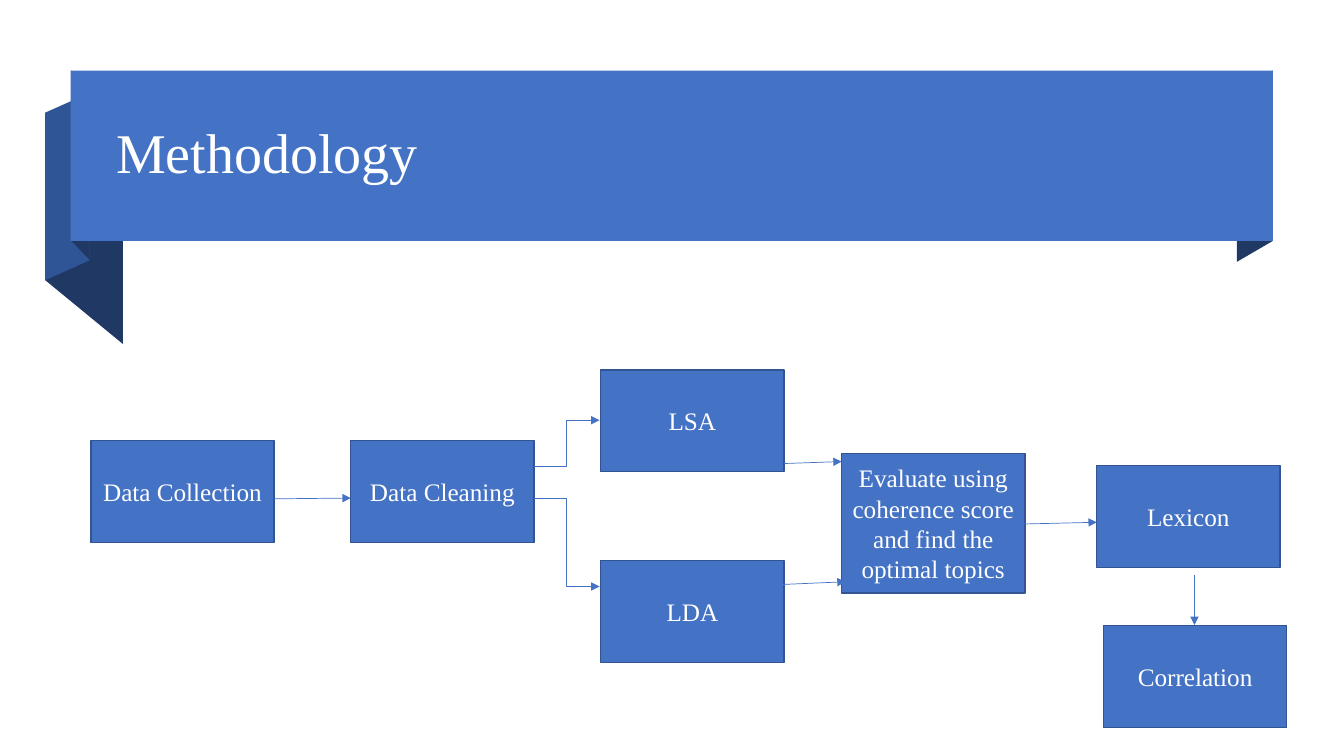
from pptx import Presentation
from pptx.dml.color import RGBColor
from pptx.enum.shapes import MSO_CONNECTOR, MSO_SHAPE
from pptx.enum.text import MSO_ANCHOR, MSO_AUTO_SIZE, PP_ALIGN
from pptx.util import Cm, Pt
from lxml.etree import SubElement
from pptx.oxml.ns import qn

FONT = "Times New Roman"
BLUE, MID, NAVY, EDGE, WHITE = "4472C4", "2F5597", "203864", "325491", "FFFFFF"
BOX_W, BOX_H = 4.62, 2.57

STEPS = [
    ("Data Collection", 0, 1.78, BOX_H),
    ("Evaluate using coherence score and find the optimal topics", 18.92, 2.11, 3.51),
    ("LDA", 12.85, 4.8, BOX_H),
    ("LSA", 12.85, 0, BOX_H),
    ("Data Cleaning", 6.55, 1.78, BOX_H),
    ("Lexicon", 25.35, 2.41, BOX_H),
    ("Correlation", 25.52, 6.45, BOX_H),
]
STRAIGHT, ELBOW = MSO_CONNECTOR.STRAIGHT, MSO_CONNECTOR.ELBOW
ARROWS = [
    (STRAIGHT, 4.62, 3.25, 6.55, 3.23),
    (STRAIGHT, 17.47, 2.36, 18.92, 2.31),
    (STRAIGHT, 17.37, 5.41, 19.02, 5.34),
    (STRAIGHT, 23.24, 3.89, 25.35, 3.84),
    (ELBOW, 11.17, 3.25, 12.82, 5.46),
    (ELBOW, 11.17, 2.44, 12.82, 1.27),
    (STRAIGHT, 27.81, 5.16, 27.81, 6.43),
]


def rgb(value):
    return RGBColor.from_string(value)


def paint(sp, fill, line=None):
    sp.shadow.inherit = False
    sp.fill.solid()
    sp.fill.fore_color.rgb = rgb(fill)
    if line:
        sp.line.color.rgb = rgb(line)
        sp.line.width = Pt(1)
    else:
        sp.line.fill.background()


def write(tf, text, size, align):
    tf.text = text
    tf.word_wrap = True
    tf.auto_size = MSO_AUTO_SIZE.NONE
    tf.vertical_anchor = MSO_ANCHOR.MIDDLE
    p = tf.paragraphs[0]
    p.alignment = align
    font = p.runs[0].font
    font.name, font.size = FONT, Pt(size)
    font.color.rgb = rgb(WHITE)
    return p


def add_fold(s, x1, y1, x2, y2, height, color):
    fb = s.shapes.build_freeform(Cm(x1), Cm(y1))
    fb.add_line_segments([(Cm(x2), Cm(y2)), (Cm(x2), Cm(y2 + height)),
                          (Cm(x1), Cm(y1 + height))])
    paint(fb.convert_to_shape(), color)


def add_banner(s, text, x, y, w, h):
    folds = [
        (-0.64, 1.06, 1.32, 2.67, 4.22, NAVY),
        (-0.64, 1.06, 0.48, 0.56, 4.22, MID),
        (0.02, 0, 0.48, 0.48, h, NAVY),
        (w - 0.91, 0.53, w, 0, h, NAVY),
    ]
    for x1, y1, x2, y2, height, color in folds:
        add_fold(s, x + x1, y + y1, x + x2, y + y2, height, color)
    paint(s.shapes.add_shape(MSO_SHAPE.RECTANGLE, Cm(x), Cm(y), Cm(w), Cm(h)), BLUE)

    title = s.shapes.title
    title.element.getparent().append(title.element)
    title.left, title.top = Cm(x + 0.89), Cm(y + 0.46)
    title.width, title.height = Cm(w - 1.78), Cm(h - 0.92)
    write(title.text_frame, text, 40, PP_ALIGN.LEFT).line_spacing = 0.9


def add_arrow(s, kind, x1, y1, x2, y2):
    cn = s.shapes.add_connector(kind, Cm(x1), Cm(y1), Cm(x2), Cm(y2))
    cn.line.color.rgb = rgb(BLUE)
    cn.line.width = Pt(0.5)
    spPr = cn.element.spPr
    SubElement(spPr.find(qn("a:ln")), qn("a:tailEnd"), type="triangle")
    SubElement(spPr, qn("a:effectLst"))


def add_flow(s, x, y):
    for text, dx, dy, height in STEPS:
        sp = s.shapes.add_shape(MSO_SHAPE.RECTANGLE, Cm(x + dx), Cm(y + dy),
                                Cm(BOX_W), Cm(height))
        paint(sp, BLUE, EDGE)
        write(sp.text_frame, text, 18, PP_ALIGN.CENTER)
    for kind, x1, y1, x2, y2 in ARROWS:
        add_arrow(s, kind, x + x1, y + y1, x + x2, y + y2)


def main():
    prs = Presentation()
    prs.slide_width, prs.slide_height = Cm(33.87), Cm(19.05)
    s = prs.slides.add_slide(prs.slide_layouts[5])
    add_banner(s, "Methodology", 1.78, 1.78, 30.3, 4.29)
    add_flow(s, 2.29, 9.32)
    prs.save("out.pptx")


if __name__ == "__main__":
    main()
